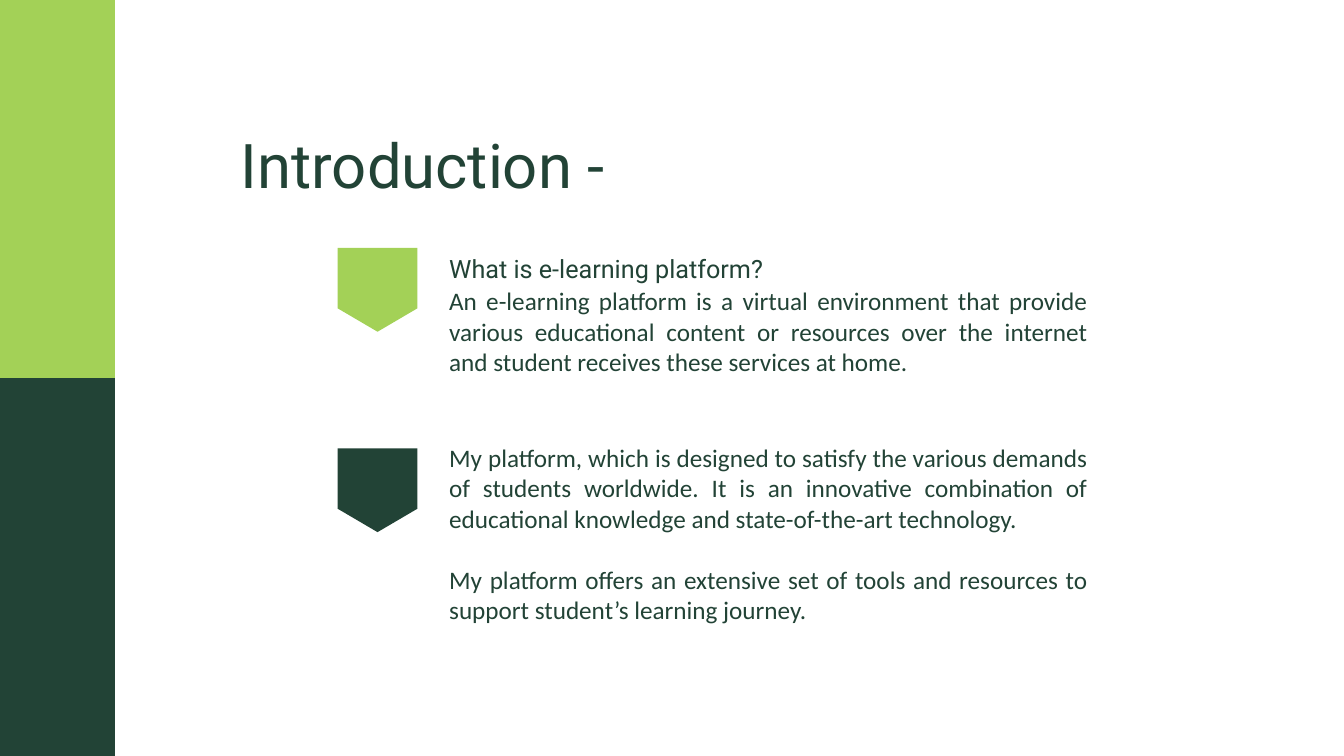
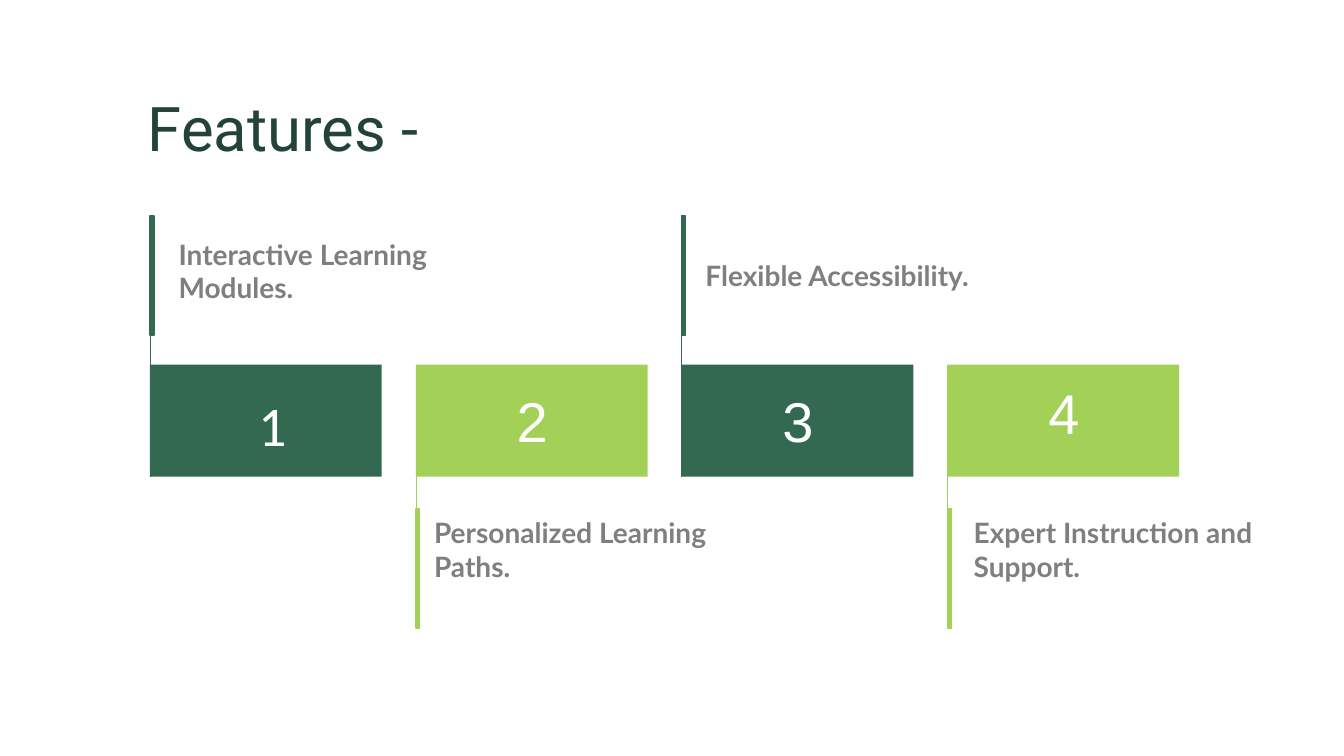
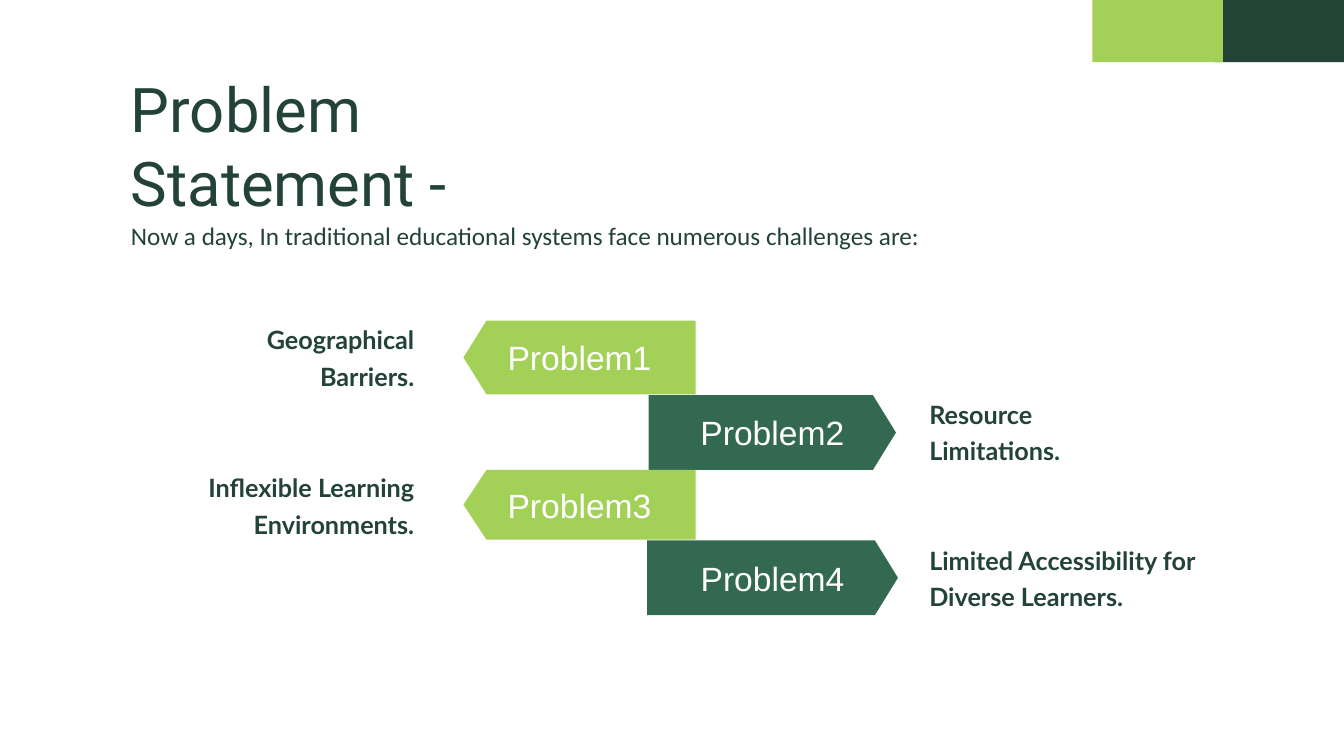
from lxml.etree import SubElement
from pptx import Presentation
from pptx.dml.color import RGBColor
from pptx.enum.shapes import MSO_CONNECTOR as Connector, MSO_SHAPE as Shape
from pptx.enum.text import MSO_ANCHOR as Anchor, PP_ALIGN as Align
from pptx.oxml.ns import qn
from pptx.util import Cm, Pt

COLORS = {
    "light": "A3D157",
    "dark": "224336",
    "green": "336951",
    "gray": "7F7F7F",
    "white": "FFFFFF",
}
WIDTH, HEIGHT = 33.87, 19.05
DEFAULT_INSETS = (0.25, 0.13)


def color(name):
    return RGBColor.from_string(COLORS[name])


class Deck:
    """Holds the shared style and the current slide; lengths are in cm."""

    def __init__(self):
        self.presentation = Presentation()
        self.presentation.slide_width = Cm(WIDTH)
        self.presentation.slide_height = Cm(HEIGHT)
        self.slide = None

    def new_slide(self):
        self.slide = self.presentation.slides.add_slide(self.presentation.slide_layouts[6])

    def paint(self, shape, fill, line=None):
        shape.shadow.inherit = False
        shape.fill.solid()
        shape.fill.fore_color.rgb = color(fill)
        if line:
            shape.line.color.rgb = color(fill)
            shape.line.width = Pt(line)
        else:
            shape.line.fill.background()
        return shape

    def rectangle(self, left, top, width, height, fill, line=None):
        shape = self.slide.shapes.add_shape(
            Shape.RECTANGLE, Cm(left), Cm(top), Cm(width), Cm(height))
        return self.paint(shape, fill, line)

    def polygon(self, points, fill):
        start, *rest = [(Cm(x), Cm(y)) for x, y in points]
        builder = self.slide.shapes.build_freeform(*start, scale=1.0)
        builder.add_line_segments(rest, close=True)
        return self.paint(builder.convert_to_shape(), fill)

    def line(self, x, start, end, fill):
        connector = self.slide.shapes.add_connector(
            Connector.STRAIGHT, Cm(x), Cm(start), Cm(x), Cm(end))
        connector.line.color.rgb = color(fill)
        connector.line.width = Pt(0.5)
        SubElement(connector._element.spPr, qn("a:effectLst"))

    def fill_text(self, shape, paragraphs, size, font, fill, bold=False, align=Align.LEFT,
                  anchor=Anchor.TOP, insets=DEFAULT_INSETS, spacing=None, gap=0, wrap=True):
        frame = shape.text_frame
        frame.word_wrap = wrap
        frame.vertical_anchor = anchor
        frame.margin_left = frame.margin_right = Cm(insets[0])
        frame.margin_top = frame.margin_bottom = Cm(insets[1])
        for index, text in enumerate(paragraphs):
            paragraph = frame.add_paragraph() if index else frame.paragraphs[0]
            paragraph.alignment = align
            if spacing:
                paragraph.line_spacing = spacing
            if index and gap:
                paragraph.space_before = Pt(gap)
            run = paragraph.add_run()
            run.text = text
            run.font.size = Pt(size)
            run.font.name = font
            run.font.bold = bold
            run.font.color.rgb = color(fill)

    def text(self, left, top, width, height, *paragraphs, size=18, font="Calibri",
             fill="dark", **style):
        box = self.slide.shapes.add_textbox(Cm(left), Cm(top), Cm(width), Cm(height))
        self.fill_text(box, paragraphs, size, font, fill, **style)

    def title(self, left, top, *lines):
        self.text(left, top, 16.94, 2.13 * len(lines), *lines, size=44, font="Roboto")

    def pennant(self, left, top, fill):
        width, shoulder, height = 2.01, 1.52, 2.11
        right = left + width
        self.polygon([(left, top), (right, top), (right, top + shoulder),
                      (left + width / 2, top + height), (left, top + shoulder)], fill)

    def tag(self, back, tip, top, height, label, fill):
        shoulder = tip + (0.58 if tip < back else -0.58)
        shape = self.polygon([(back, top), (shoulder, top), (tip, top + height / 2),
                              (shoulder, top + height), (back, top + height)], fill)
        self.fill_text(shape, [label], 24, "Arial", "white", align=Align.CENTER,
                       anchor=Anchor.MIDDLE, insets=(0.33, 0.18), wrap=False)


def introduction(deck):
    deck.new_slide()
    # Side band
    for row, fill in enumerate(("light", "dark")):
        deck.rectangle(0, row * HEIGHT / 2, 2.9, HEIGHT / 2, fill)
    deck.title(5.82, 3.07, "Introduction -")

    # Pennants and their texts
    deck.pennant(8.51, 6.25, "light")
    deck.pennant(8.51, 11.3, "dark")
    body = dict(align=Align.JUSTIFY, anchor=Anchor.MIDDLE)
    deck.text(11.07, 6.25, 9.5, 1.02, "What is e-learning platform?", font="Roboto")
    deck.text(11.07, 7.06, 16.59, 2.57,
              "An e-learning platform is a virtual environment that provide various educational "
              "content or resources over the internet and student receives these services at home.",
              **body)
    deck.text(11.07, 11, 16.59, 4.88,
              "My platform, which is designed to satisfy the various demands of students worldwide. "
              "It is an innovative combination of educational knowledge and state-of-the-art "
              "technology.",
              "My platform offers an extensive set of tools and resources to support student’s "
              "learning journey.", gap=22, **body)


def features(deck):
    deck.new_slide()
    deck.title(3.48, 2.13, "Features -")

    # Label, its offset and top, then the number's font and offsets within its box
    items = [
        ("Interactive Learning Modules.", 0.72, 6.1, "Calibri", 1.6, 0.52),
        ("Personalized Learning Paths.", 0.46, 13.11, "Arial", 1.43, 0.42),
        ("Flexible Accessibility.", 0.6, 6.2, "Arial", 1.43, 0.43),
        ("Expert Instruction and Support.", 0.66, 13.11, "Arial", 1.43, 0.21),
    ]
    first, step, box_top, box_width, box_height = 3.78, 6.7, 9.19, 5.84, 2.82
    post_height = 3
    for index, (label, shift, label_top, font, number_x, number_y) in enumerate(items):
        left = first + index * step
        above = index % 2 == 0
        fill = "green" if above else "light"
        # Post and thin line reaching the far side of the box
        post_top = 5.44 if above else 12.83
        if above:
            deck.line(left, post_top, box_top + box_height, fill)
        else:
            deck.line(left, post_top + post_height, box_top, fill)
        deck.rectangle(left, post_top, 0.1, post_height, fill, line=1)
        # Numbered box and label
        deck.rectangle(left, box_top, box_width, box_height, fill)
        deck.text(left + number_x, box_top + number_y, 3, 1.96, str(index + 1),
                  size=40, font=font, fill="white", align=Align.CENTER)
        deck.text(left + shift, label_top, 7.47, 1.45, label, size=20, font="Lato",
                  fill="gray", bold=True, anchor=Anchor.MIDDLE, insets=(0, 0.28))


def problem_statement(deck):
    deck.new_slide()
    # Corner band
    deck.rectangle(30.58, 0, 3.29, 1.57, "dark")
    deck.rectangle(27.53, 0, 3.29, 1.57, "light")
    deck.title(3.05, 1.65, "Problem", "Statement -")
    deck.text(3.05, 5.41, 20.78, 1.02,
              "Now a days, In traditional educational systems face numerous challenges are:")

    # Tags alternate left and right: label, its top and width, tag top, height, back and tip
    items = [
        ("Geographical Barriers.", 8.03, 5.84, 8.08, 1.86, 17.53, 11.68),
        ("Resource Limitations.", 9.91, 5.84, 9.96, 1.88, 16.35, 22.58),
        ("Inflexible Learning Environments.", 11.76, 5.84, 11.84, 1.76, 17.53, 11.68),
        ("Limited Accessibility for Diverse Learners.", 13.59, 7.16, 13.62, 1.88, 16.31, 22.63),
    ]
    for number, (label, label_top, width, top, height, back, tip) in enumerate(items, 1):
        on_left = tip < back
        deck.tag(back, tip, top, height, f"Problem{number}", "light" if on_left else "green")
        deck.text(4.6 if on_left else 23.42, label_top, width, 1.9, label, font="Lato",
                  bold=True, align=Align.RIGHT if on_left else Align.LEFT,
                  insets=(0, 0), spacing=1.2)


def main():
    deck = Deck()
    introduction(deck)
    features(deck)
    problem_statement(deck)
    deck.presentation.save("out.pptx")


if __name__ == "__main__":
    main()
